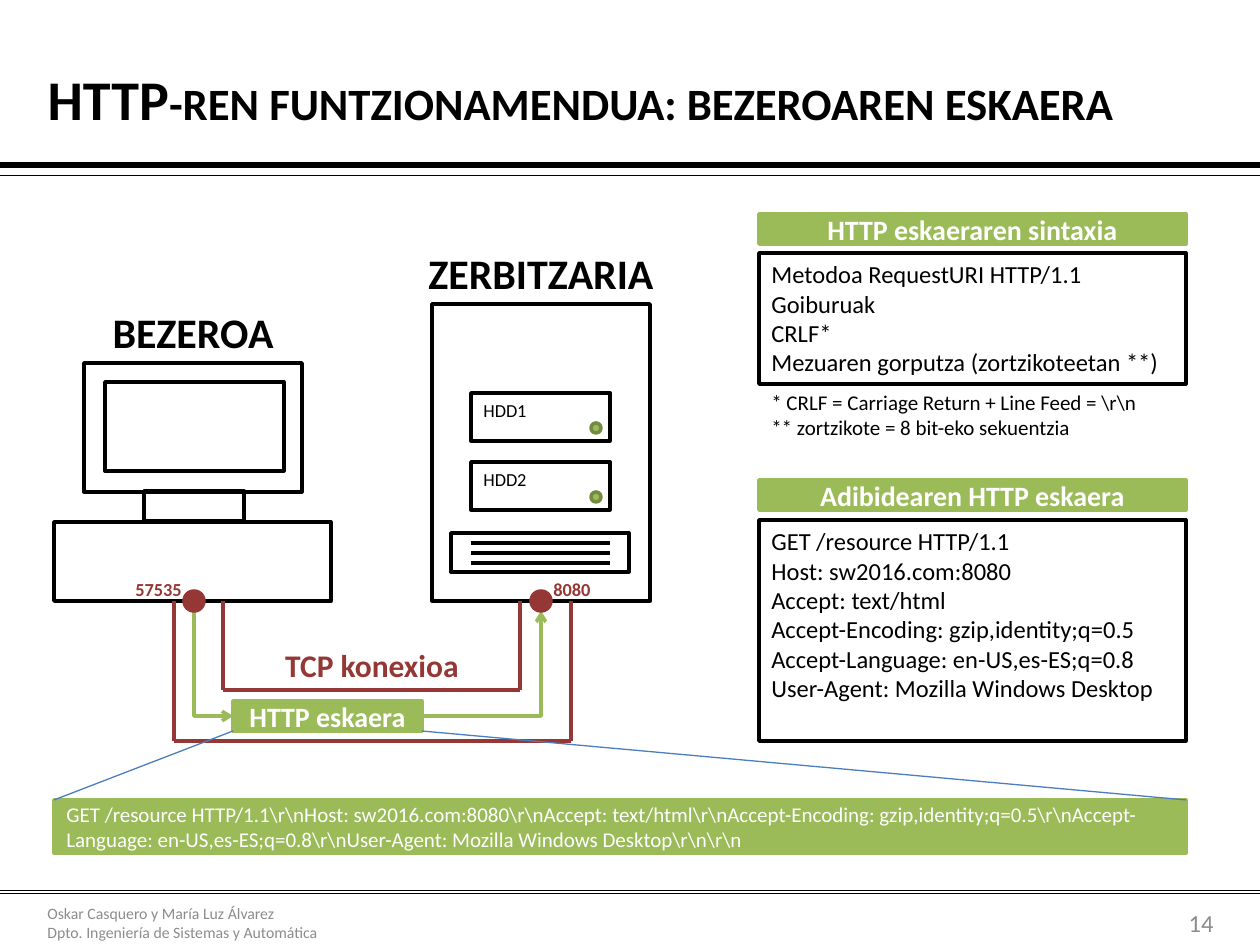
import pptx
import pptx.util
import pptx.dml.color
import pptx.enum.shapes
import pptx.enum.text
import pptx.oxml
import pptx.oxml.ns

PX = 914400 / 126
RECT = pptx.enum.shapes.MSO_SHAPE.RECTANGLE
OVAL = pptx.enum.shapes.MSO_SHAPE.OVAL
STRAIGHT = pptx.enum.shapes.MSO_CONNECTOR.STRAIGHT
ELBOW = pptx.enum.shapes.MSO_CONNECTOR.ELBOW
TOP = pptx.enum.text.MSO_ANCHOR.TOP
MIDDLE = pptx.enum.text.MSO_ANCHOR.MIDDLE
LEFT = pptx.enum.text.PP_ALIGN.LEFT
CENTER = pptx.enum.text.PP_ALIGN.CENTER
RIGHT = pptx.enum.text.PP_ALIGN.RIGHT


class Theme:
    font = "Calibri"
    black = pptx.dml.color.RGBColor.from_string("000000")
    white = pptx.dml.color.RGBColor.from_string("FFFFFF")
    grey = pptx.dml.color.RGBColor.from_string("8C8C8C")
    green = pptx.dml.color.RGBColor.from_string("9BBB59")
    dark_green = pptx.dml.color.RGBColor.from_string("738A42")
    red = pptx.dml.color.RGBColor.from_string("953735")
    blue = pptx.dml.color.RGBColor.from_string("4B7EBC")
    title, machine, tcp, header, body = 32, 24, 18, 16, 14
    note, label, footer = 12, 10.5, 9
    thick, stroke, thin, hair = 3, 2, 0.75, 0.25


prs = pptx.Presentation()
prs.slide_width = pptx.util.Emu(round(1260 * PX))
prs.slide_height = pptx.util.Emu(round(945 * PX))
s = prs.slides.add_slide(prs.slide_layouts[5])


def box(text, x, y, w, h, shape=None, fill=None, line=Theme.black, size=Theme.body,
        color=Theme.black, bold=False, align=LEFT, anchor=TOP, small_caps=False):
    at = [pptx.util.Emu(round(v * PX)) for v in (x, y, w, h)]
    if shape is None:
        sp = s.shapes.add_textbox(*at)
    elif shape in (RECT, OVAL):
        sp = s.shapes.add_shape(shape, *at)
        sp.shadow.inherit = False
        sp.line.color.rgb = line
        sp.line.width = pptx.util.Pt(Theme.stroke)
        if fill is None:
            sp.fill.background()
        else:
            sp.fill.solid()
            sp.fill.fore_color.rgb = fill
    else:
        sp = shape
        sp.left, sp.top, sp.width, sp.height = at
    if not text:
        return
    tf = sp.text_frame
    tf.word_wrap = True
    tf.auto_size = pptx.enum.text.MSO_AUTO_SIZE.NONE
    tf.vertical_anchor = anchor
    for i, row in enumerate(text.split("\n")):
        p = tf.add_paragraph() if i else tf.paragraphs[0]
        p.alignment = align
        r = p.add_run()
        r.text = row
        r.font.name = Theme.font
        r.font.size = pptx.util.Pt(size)
        r.font.bold = bold
        r.font.color.rgb = color
        if small_caps:
            r.font._element.set("cap", "small")


def line(x1, y1, x2, y2, color=Theme.black, width=Theme.stroke, kind=STRAIGHT, turn=0):
    c = s.shapes.add_connector(kind, *[pptx.util.Emu(round(v * PX)) for v in (x1, y1, x2, y2)])
    c.line.color.rgb = color
    c.line.width = pptx.util.Pt(width)
    spPr = c._element.spPr
    if kind == ELBOW:
        spPr.find(pptx.oxml.ns.qn("a:prstGeom")).set("prst", "bentConnector2")
        spPr.find(pptx.oxml.ns.qn("a:xfrm")).set("rot", str(turn * 60000))
        ns = pptx.oxml.ns.nsdecls("a")
        c.line._get_or_add_ln().append(pptx.oxml.parse_xml(f'<a:tailEnd {ns} type="arrow"/>'))
    spPr.append(pptx.oxml.parse_xml(f'<a:effectLst {pptx.oxml.ns.nsdecls("a")}/>'))


for y, width in ((165, Theme.thick), (175, Theme.hair), (890, Theme.hair), (893, Theme.hair)):
    line(0, y, 1260, y, width=width)
box("Oskar Casquero y María Luz Álvarez\nDpto. Ingeniería de Sistemas y Automática",
    35, 898, 466, 50, size=Theme.footer, color=Theme.grey, anchor=MIDDLE)
box("HTTP-ren funtzionamendua: bezeroaren eskaera", 35, 37, 1191, 123, shape=s.shapes.title,
    size=Theme.title, bold=True, anchor=MIDDLE, small_caps=True)
box("14", 1126, 905, 100, 35, color=Theme.grey, align=RIGHT, anchor=MIDDLE)

monitor = (84, 363, 218, 129)
screen = (105, 382, 179, 89)
base = (54, 522, 277, 79)
tower = (432, 304, 218, 297)
stand = (144, 491, 100, 30)
vent = (451, 533, 178, 39)
for part in (monitor, screen, base, tower, stand, vent):
    box("", *part, shape=RECT)
for y in (543, 553, 563):
    line(471, y, 610, y)
for name, y in (("HDD1", 393), ("HDD2", 462)):
    box("", 471, y, 139, 48, shape=RECT)
    box("", 591, y + 30, 10, 10, shape=OVAL, fill=Theme.green, line=Theme.dark_green)
    box(name, 471, y, 69, 35, size=Theme.label)
box("BEZEROA", 94, 300, 198, 63, size=Theme.machine, bold=True, align=CENTER)
box("ZERBITZARIA", 412, 241, 258, 63, size=Theme.machine, bold=True, align=CENTER)

for left, right, bottom in ((223, 520, 690), (174, 571, 741)):
    line(left, 601, left, bottom, color=Theme.red)
    line(right, 601, right, bottom, color=Theme.red)
    line(left, bottom, right, bottom, color=Theme.red)
box("TCP konexioa", 263, 640, 218, 50, size=Theme.tcp, color=Theme.red, bold=True, align=CENTER)
line(266, 644, 161, 683, color=Theme.green, kind=ELBOW, turn=270)
line(422, 716, 541, 611, color=Theme.green, kind=ELBOW)
for port, dot_x, x, w in (("8080", 531, 541, 69), ("57535", 184, 123, 79)):
    box("", dot_x, 591, 20, 20, shape=OVAL, fill=Theme.red, line=Theme.red)
    box(port, x, 572, w, 35, size=Theme.label, color=Theme.red, bold=True)

syntax = "Metodoa RequestURI HTTP/1.1\nGoiburuak\nCRLF*\nMezuaren gorputza (zortzikoteetan **)"
request = ["GET /resource HTTP/1.1", "Host: sw2016.com:8080", "Accept: text/html",
           "Accept-Encoding: gzip,identity;q=0.5", "Accept-Language: en-US,es-ES;q=0.8",
           "User-Agent: Mozilla Windows Desktop"]
box(syntax, 759, 253, 427, 131, shape=RECT)
box("\n".join(request), 759, 520, 427, 221, shape=RECT)
box("* CRLF = Carriage Return + Line Feed = \\r\\n\n** zortzikote = 8 bit-eko sekuentzia",
    759, 383, 427, 63, size=Theme.note)
for heading, x, y, w in (("HTTP eskaera", 233, 701, 189),
                         ("HTTP eskaeraren sintaxia", 759, 214, 427),
                         ("Adibidearen HTTP eskaera", 759, 480, 427)):
    box(heading, x, y, w, 30, shape=RECT, fill=Theme.green, line=Theme.green, size=Theme.header,
        color=Theme.white, bold=True, align=CENTER, anchor=MIDDLE)
box("\\r\\n".join(request) + "\\r\\n\\r\\n", 54, 800, 1132, 53, shape=RECT, fill=Theme.green,
    line=Theme.green, size=Theme.note, color=Theme.white, anchor=MIDDLE)
line(54, 800, 233, 731, color=Theme.blue, width=Theme.thin)
line(1186, 800, 422, 731, color=Theme.blue, width=Theme.thin)

prs.save("out.pptx")
